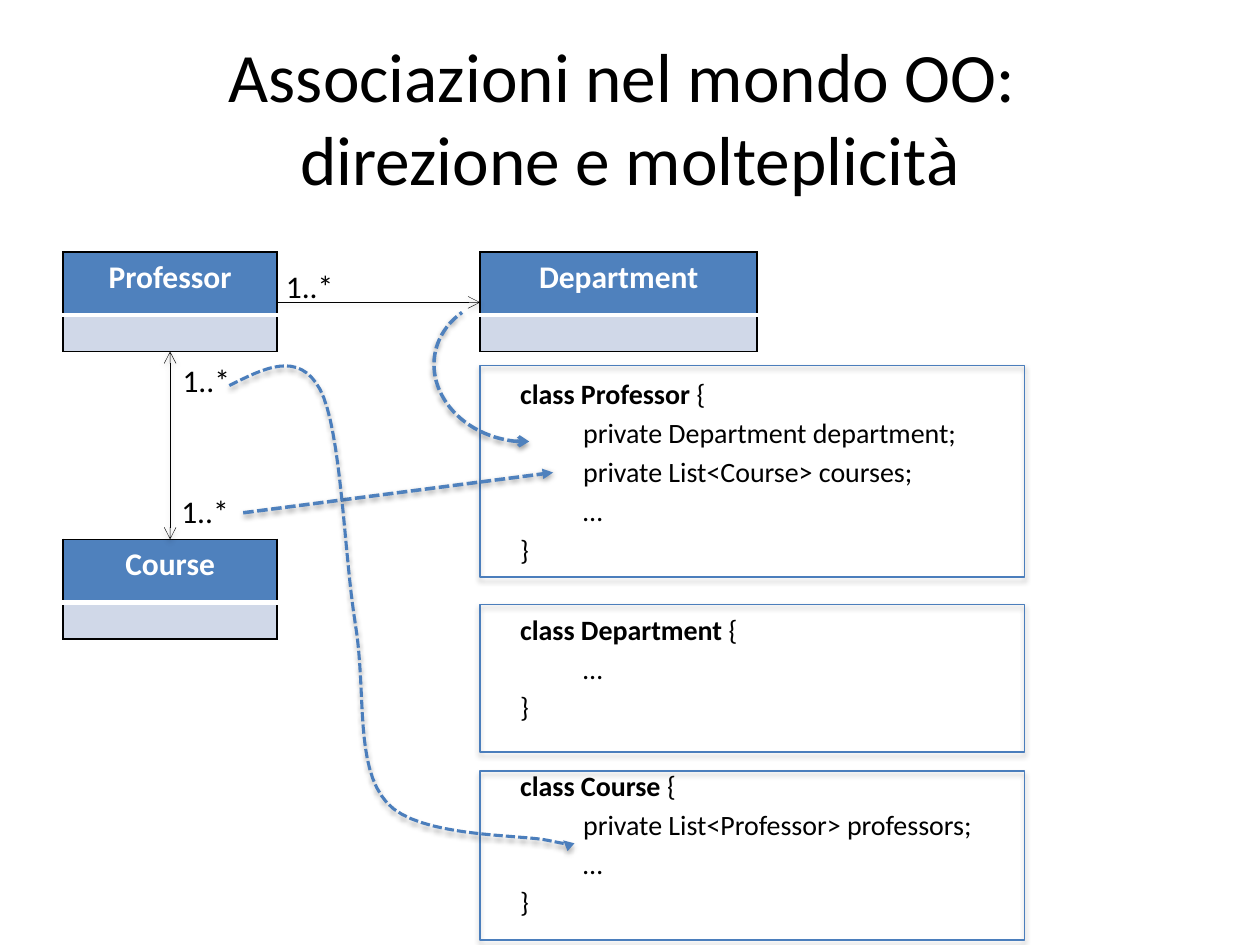
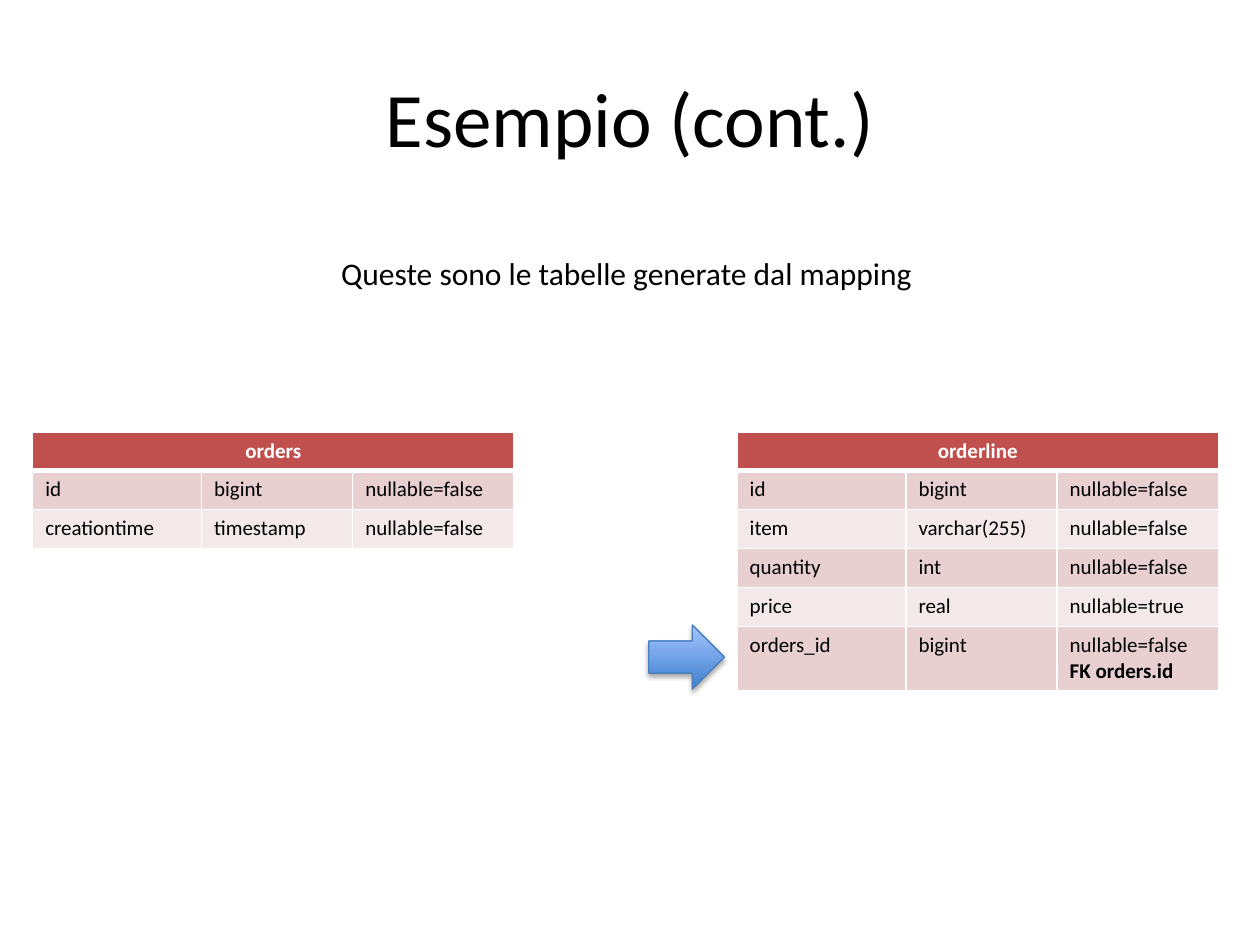
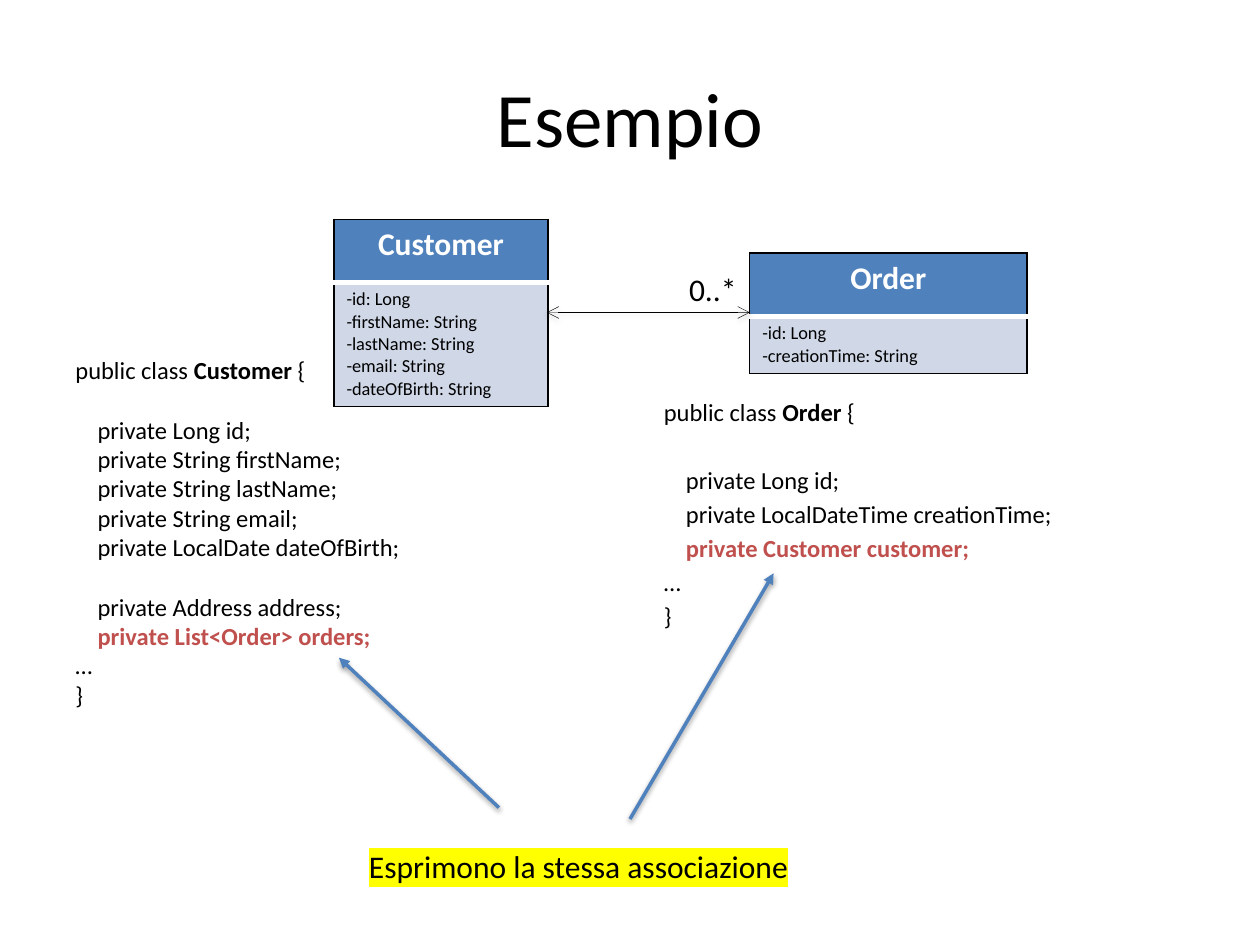
from lxml import etree
from pptx import Presentation
from pptx import util as u
from pptx.dml import color
from pptx.enum import dml, shapes, text
from pptx.oxml import ns

Inches, Pt = u.Inches, u.Pt

FONT = "Calibri"
COLORS = {
    "black": "000000", "white": "FFFFFF", "blue": "4F81BD", "outline": "4B7EBC",
    "pale_blue": "D0D8E8", "red": "C0504D", "band_dark": "E8D0D0",
    "band_light": "F4E9E9", "arrow_dark": "3F80CE", "arrow_light": "A4C4FF",
    "highlight": "FFFF00",
}

# ---- Content: slide 1 ----
ASSOCIATION_TITLE = "Associazioni nel mondo OO: \vdirezione e molteplicità"
ASSOCIATION_CLASSES = [  # name, left, top, width
    ("Professor", 0.5, 2, 1.7),
    ("Department", 3.81, 2, 2.2),
    ("Course", 0.5, 4.28, 1.7),
]
MULTIPLICITIES = [(1.34, 3.86), (1.35, 2.82), (2.17, 2.07)]
CODE_FRAMES = [  # class, members, frame top, frame height, text top
    ("Professor", ["private Department department;", "private List<Course> courses;", "…"],
     2.9, 1.68, 2.94),
    ("Department", ["…"], 4.8, 1.17, 4.81),
    ("Course", ["private List<Professor> professors;", "…"], 6.12, 1.34, 6.05),
]
CURVE_START = (1.82, 3.06)
CURVE = [  # two control points and an end point for each piece
    ((2.1, 2.92), (2.37, 2.78), (2.54, 3.09)),
    ((2.71, 3.41), (2.73, 4.4), (2.82, 4.95)),
    ((2.91, 5.49), (2.81, 6.08), (3.07, 6.37)),
    ((3.32, 6.65), (4.12, 6.62), (4.35, 6.67)),
    ((4.59, 6.72), (4.53, 6.7), (4.47, 6.67)),
]

# ---- Content: slide 2 ----
MAPPING_NOTE = "Queste sono le tabelle generate dal mapping"
COLUMN_WIDTHS = [1.34, 1.2, 1.28]
DATABASE_TABLES = [  # name, left, rows
    ("orders", 0.26, [
        ("id", "bigint", "nullable=false"),
        ("creationtime", "timestamp", "nullable=false"),
    ]),
    ("orderline", 5.85, [
        ("id", "bigint", "nullable=false"),
        ("item", "varchar(255)", "nullable=false"),
        ("quantity", "int", "nullable=false"),
        ("price", "real", "nullable=true"),
        ("orders_id", "bigint", "nullable=false\nFK orders.id"),
    ]),
]

# ---- Content: slide 3 ----
EXAMPLE_CLASSES = [  # name, left, top, width, attributes
    ("Customer", 2.65, 1.74, 1.7, ["-id: Long", "-firstName: String", "-lastName: String",
                                   "-email: String", "-dateOfBirth: String"]),
    ("Order", 5.95, 2.01, 2.2, ["-id: Long", "-creationTime: String"]),
]
GAP = "gap"  # the next line stands one line lower
EXAMPLE_CODE = [  # class, left, top, space between lines, lines, association line
    ("Customer", 0.5, 2.77, 0, [
        GAP, "    private Long id;", "    private String firstName;",
        "    private String lastName;", "    private String email;",
        "    private LocalDate dateOfBirth;",
        GAP, "    private Address address;", "    private List<Order> orders;", "…", "}",
    ], "    private List<Order> orders;"),
    ("Order", 5.17, 3.1, 2.6, [
        GAP, "    private Long id;", "    private LocalDateTime creationTime;",
        "    private Customer customer;", "…", "}",
    ], "    private Customer customer;"),
]
SAME_ASSOCIATION = "Esprimono la stessa associazione"
POINTERS = [((5, 6.5), (6.14, 4.55)), ((3.96, 6.41), (2.69, 5.22))]


# ---- Shared helpers ----
def rgb(name):
    return color.RGBColor.from_string(COLORS[name])


def add_element(parent, tag, **attributes):
    element = etree.SubElement(parent, ns.qn(tag))
    for key, value in attributes.items():
        element.set(key, str(value))
    return element


def write(frame, content, size=18, bold=False, fill="black", align=None,
          before=0, indent=0, highlight=None):
    """Add one paragraph; content is a string or a list of (text, bold) runs."""
    first = not frame.paragraphs[0].runs
    paragraph = frame.paragraphs[0] if first else frame.add_paragraph()
    if indent:
        paragraph._p.get_or_add_pPr().set("marL", str(Inches(indent)))
    if align:
        paragraph.alignment = align
    if before and not first:
        paragraph.space_before = Pt(before)
    runs = [(content, bold)] if isinstance(content, str) else content
    for run_text, run_bold in runs:
        run = paragraph.add_run()
        run.text = run_text
        run.font.name, run.font.size, run.font.bold = FONT, Pt(size), run_bold
        run.font.color.rgb = rgb(fill)
        if highlight:
            mark = etree.Element(ns.qn("a:highlight"))
            add_element(mark, "a:srgbClr", val=COLORS[highlight])
            run._r.rPr.find(ns.qn("a:solidFill")).addnext(mark)
    return paragraph


def add_text_box(slide, left, top, width, height, wrap=True):
    box = slide.shapes.add_textbox(Inches(left), Inches(top), Inches(width), Inches(height))
    box.text_frame.word_wrap = wrap
    return box.text_frame


def add_label(slide, content, left, top, width=0.58, **style):
    write(add_text_box(slide, left, top, width, 0.4, wrap=False), content, **style)


def new_slide(presentation, title, size=44):
    slide = presentation.slides.add_slide(presentation.slide_layouts[5])
    holder = slide.shapes.title
    holder.left, holder.top = Inches(0.5), Inches(0.3)
    holder.width, holder.height = Inches(9), Inches(1.25)
    frame = holder.text_frame
    frame.vertical_anchor = text.MSO_ANCHOR.MIDDLE
    paragraph = frame.paragraphs[0]
    paragraph.text = title
    paragraph.alignment = text.PP_ALIGN.CENTER
    for run in paragraph.runs:
        run.font.name, run.font.size = FONT, Pt(size)
        run.font.color.rgb = rgb("black")
    return slide


def style_line(shape, line_color, width, dashed=False, head=None, tail=None,
               alpha=38, distance=1.6):
    """Format the outline, its arrowheads and the soft shadow below it."""
    shape.line.color.rgb = rgb(line_color)
    shape.line.width = Pt(width)
    if dashed:
        shape.line.dash_style = dml.MSO_LINE.SQUARE_DOT
    properties = shape._element.spPr
    line = properties.find(ns.qn("a:ln"))
    if head:
        add_element(line, "a:headEnd", type=head)
    if tail:
        add_element(line, "a:tailEnd", type=tail)
    effects = add_element(properties, "a:effectLst")
    shadow = add_element(effects, "a:outerShdw", blurRad=Pt(3.1), dist=Pt(distance),
                         dir=90 * 60000, rotWithShape=0)
    shadow_color = add_element(shadow, "a:srgbClr", val=COLORS["black"])
    add_element(shadow_color, "a:alpha", val=alpha * 1000)


def add_line(slide, start, end, line_color="black", width=0.25, **style):
    connector = slide.shapes.add_connector(
        shapes.MSO_CONNECTOR.STRAIGHT, *(Inches(value) for value in (*start, *end)))
    style_line(connector, line_color, width, **style)


def add_preset(slide, preset, left, top, width, height):
    return slide.shapes.add_shape(preset, Inches(left), Inches(top),
                                  Inches(width), Inches(height))


def add_table(slide, left, top, widths, heights):
    table = slide.shapes.add_table(
        len(heights), len(widths), Inches(left), Inches(top),
        Inches(sum(widths)), Inches(sum(heights))).table
    for column, width in zip(table.columns, widths):
        column.width = Inches(width)
    for row, height in zip(table.rows, heights):
        row.height = Inches(height)
    return table


def style_cell(cell, fill, left, right, top, bottom):
    """Each border is a (colour, points) pair."""
    properties = cell._tc.get_or_add_tcPr()
    for side, (border, width) in zip("LRTB", (left, right, top, bottom)):
        line = add_element(properties, f"a:ln{side}", w=Pt(width))
        add_element(add_element(line, "a:solidFill"), "a:srgbClr", val=COLORS[border])
    cell.fill.solid()
    cell.fill.fore_color.rgb = rgb(fill)


def add_class(slide, name, left, top, width, attributes=()):
    body_height = max(0.29, 0.1 + 0.177 * len(attributes))
    table = add_table(slide, left, top, [width], [0.5, body_height])
    header, body = table.cell(0, 0), table.cell(1, 0)
    edge, divider = ("black", 1), ("white", 3)
    style_cell(header, "blue", edge, edge, edge, divider)
    style_cell(body, "pale_blue", edge, edge, divider, edge)
    write(header.text_frame, name, bold=True, fill="white", align=text.PP_ALIGN.CENTER)
    for attribute in attributes:
        write(body.text_frame, attribute, size=10.5)
    if not attributes:
        add_element(body.text_frame.paragraphs[0]._p, "a:endParaRPr", sz=1050)


def add_database_table(slide, name, left, rows):
    heights = [0.3] + [0.5 if "\n" in row[-1] else 0.31 for row in rows]
    table = add_table(slide, left, 3.43, COLUMN_WIDTHS, heights)
    thin, thick = ("white", 1), ("white", 3)
    for column in range(len(COLUMN_WIDTHS)):
        style_cell(table.cell(0, column), "red", thin, thin, thin, thick)
    table.cell(0, 0).merge(table.cell(0, len(COLUMN_WIDTHS) - 1))
    write(table.cell(0, 0).text_frame, name, size=12, bold=True, fill="white",
          align=text.PP_ALIGN.CENTER)
    for index, row in enumerate(rows, 1):
        band = "band_dark" if index % 2 else "band_light"
        for column, value in enumerate(row):
            cell = table.cell(index, column)
            style_cell(cell, band, thin, thin, thick if index == 1 else thin, thin)
            for line in value.split("\n"):
                write(cell.text_frame, line, size=12, bold=line.startswith("FK"))


def curve_points(start, pieces, steps=16):
    for first, second, end in pieces:
        for step in range(1, steps + 1):
            t = step / steps
            weights = ((1 - t) ** 3, 3 * t * (1 - t) ** 2, 3 * t * t * (1 - t), t ** 3)
            yield tuple(Inches(sum(w * p[axis] for w, p in
                                   zip(weights, (start, first, second, end))))
                        for axis in (0, 1))
        start = end


# ---- Slides ----
def build_associations(presentation):
    slide = new_slide(presentation, ASSOCIATION_TITLE, size=39.6)
    for item in ASSOCIATION_CLASSES:
        add_class(slide, *item)
    add_line(slide, (2.2, 2.4), (3.81, 2.4), tail="arrow")
    add_line(slide, (1.35, 2.79), (1.35, 4.28), head="arrow", tail="arrow")
    for left, top in MULTIPLICITIES:
        add_label(slide, "1..*", left, top)

    # Class frames and their code
    for name, members, top, height, text_top in CODE_FRAMES:
        frame = add_preset(slide, shapes.MSO_SHAPE.RECTANGLE, 3.81, top, 4.32, height)
        frame.fill.background()
        style_line(frame, "outline", 0.75, alpha=35, distance=1.8)
        code = add_text_box(slide, 4.03, text_top, 4.62, height)
        write(code, [(f"class {name} ", True), ("{", False)], size=16)
        for member in members:
            write(code, member, size=16, before=3, indent=0.5)
        write(code, "}", size=16, before=3)

    # Dashed arrows from the associations to the fields
    add_line(slide, (1.93, 4.07), (4.39, 3.75), "blue", 2, dashed=True, tail="triangle")
    arc = add_preset(slide, shapes.MSO_SHAPE.ARC, 3.44, 2.36, 1.36, 1.14)
    arc.adjustments[0], arc.adjustments[1] = 150.72, 20.35
    arc.rotation = 190.9
    arc.fill.background()
    style_line(arc, "blue", 2, dashed=True, head="arrow")
    builder = slide.shapes.build_freeform(*(Inches(value) for value in CURVE_START))
    builder.add_line_segments(list(curve_points(CURVE_START, CURVE)), close=False)
    curve = builder.convert_to_shape()
    curve.fill.background()
    style_line(curve, "outline", 1.75, dashed=True, tail="triangle", alpha=35, distance=1.8)


def build_mapping(presentation):
    slide = new_slide(presentation, "Esempio (cont.)")
    for item in DATABASE_TABLES:
        add_database_table(slide, *item)
    add_label(slide, MAPPING_NOTE, 2.61, 1.97, 4.79)
    arrow = add_preset(slide, shapes.MSO_SHAPE.RIGHT_ARROW, 5.15, 4.96, 0.6, 0.51)
    arrow.fill.gradient()
    arrow.fill.gradient_angle = 90
    for stop, name in zip(arrow.fill.gradient_stops, ("arrow_dark", "arrow_light")):
        stop.color.rgb = rgb(name)
    style_line(arrow, "outline", 0.75, alpha=35, distance=1.8)


def build_example(presentation):
    slide = new_slide(presentation, "Esempio")
    for item in EXAMPLE_CLASSES:
        add_class(slide, *item)
    add_line(slide, (4.34, 2.48), (5.95, 2.48), head="arrow", tail="arrow")
    add_label(slide, "0..*", 5.37, 2.09)

    # Java classes, with the association field in red
    for name, left, top, spacing, lines, association in EXAMPLE_CODE:
        code = add_text_box(slide, left, top, 3.91, 2.9)
        write(code, [("public class ", False), (name, True), (" {", False)], size=14)
        before = spacing
        for line in lines:
            if line == GAP:
                before = 17.1 + 2 * spacing
                continue
            marked = line == association
            write(code, line, size=14, bold=marked, fill="red" if marked else "black",
                  before=before)
            before = spacing

    add_label(slide, SAME_ASSOCIATION, 2.83, 6.67, 3.56, highlight="highlight")
    for start, end in POINTERS:
        add_line(slide, start, end, "blue", 2, tail="triangle")


def main():
    presentation = Presentation()
    presentation.slide_width, presentation.slide_height = Inches(10), Inches(7.5)
    build_associations(presentation)
    build_mapping(presentation)
    build_example(presentation)
    presentation.save("out.pptx")


if __name__ == "__main__":
    main()
